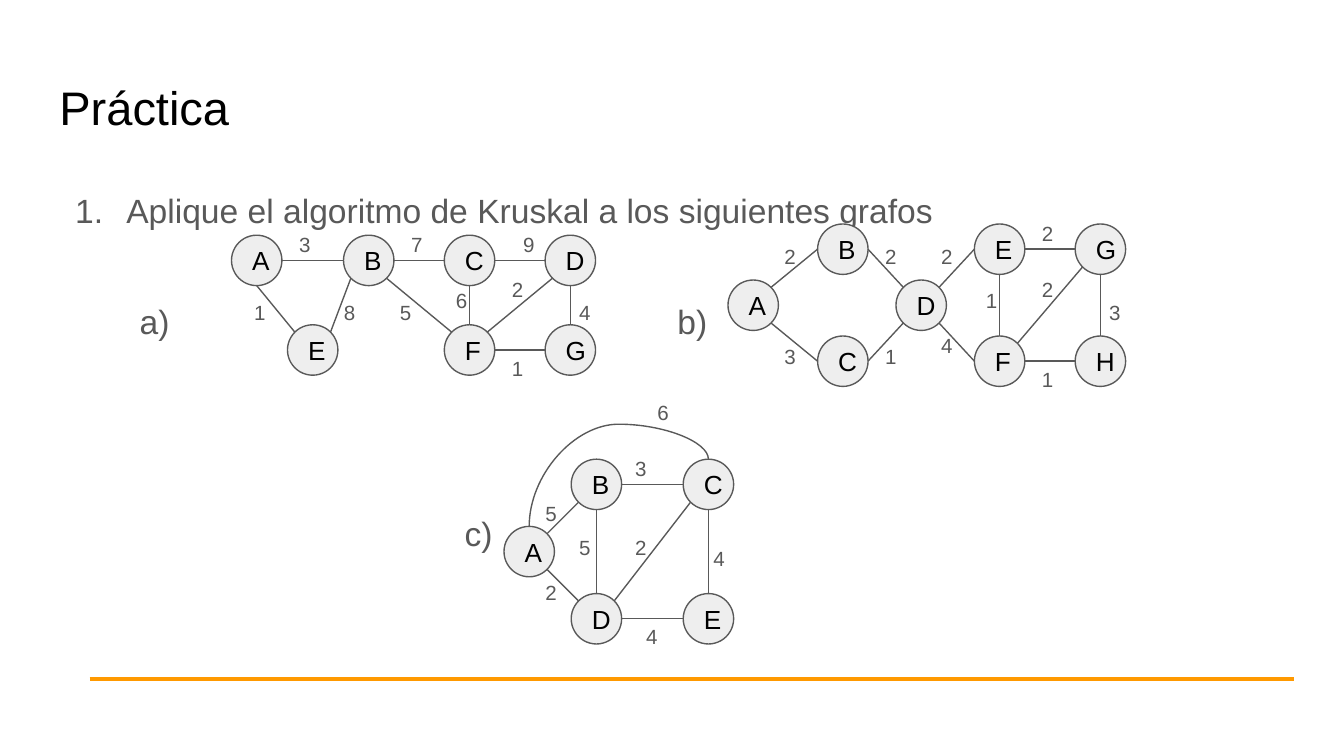
import math

import lxml.etree
import pptx
import pptx.dml.color
import pptx.enum.shapes
import pptx.enum.text
import pptx.oxml.ns
import pptx.util

GRAY, BLACK, PALE, GOLD = "595959", "000000", "EEEEEE", "FF9900"
KINDS = pptx.enum.shapes.MSO_CONNECTOR
RADIUS = 2.25

GRAPHS = [
    {
        "start": (22.92, 23.25), "shift": -1.4, "name": ("a)", 11.3, 25.7),
        "nodes": {"A": (0, 0), "B": (10, 0), "C": (19, 0), "D": (28, 0),
                  "E": (5, 8), "F": (19, 8), "G": (28, 8)},
        "edges": [("A0B4", 3, 4, -4), ("B0C4", 7, 14, -4), ("C0D4", 9, 24, -4),
                  ("F0G4", 1, 23, 7), ("D3F7", 2, 23, 0), ("D2G6", 4, 29, 2),
                  ("C2F6", 6, 18, 1), ("B1F5", 5, 13, 2), ("B3E7", 8, 8, 2),
                  ("A2E5", 1, 0, 2)],
    },
    {
        "start": (67.25, 27.25), "shift": -1.4, "name": ("b)", 59.3, 25.7),
        "nodes": {"A": (0, 0), "B": (8, -5), "C": (8, 5), "D": (15, 0),
                  "E": (22, -5), "F": (22, 5), "H": (31, 5), "G": (31, -5)},
        "edges": [("A7B4", 2, 3, -7), ("A1C4", 3, 3, 2), ("C0D3", 1, 12, 2),
                  ("B0D5", 2, 12, -7), ("D7E4", 2, 17, -7), ("D1F4", 4, 17, 1),
                  ("E2F6", 1, 21, -3), ("G2H6", 3, 32, -2), ("E0G4", 2, 26, -9),
                  ("F0H4", 1, 26, 4), ("G3F7", 2, 26, -4)],
    },
    {
        "start": (47.25, 49.25), "shift": -1.73, "name": ("c)", 40.3, 44.6),
        "nodes": {"A": (0, 0), "B": (6, -6), "D": (6, 6), "C": (16, -6), "E": (16, 6)},
        "edges": [("A7B3", 5, 2, -6), ("A1D5", 2, 2, 1), ("B2D6", 5, 5, -3),
                  ("B0C4", 3, 10, -10), ("D0E4", 4, 11, 5), ("C2E6", 4, 17, -2),
                  ("C3D7", 2, 10, -3), ("A6C6", 6, 12, -15)],
    },
]


def tint(code):
    """Turn a hex string into a colour."""
    return pptx.dml.color.RGBColor.from_string(code)


def grid(*spans):
    """Turn grid columns or rows, twelve to the inch, into lengths."""
    return [pptx.util.Inches(span / 12) for span in spans]


def node(tag, parent, **values):
    """Add an XML element under a parent."""
    return lxml.etree.SubElement(parent, pptx.oxml.ns.qn(tag), values)


class Page:
    """Hold the style and the current slide."""

    def __init__(self):
        """Start a deck with one titled slide."""
        self.deck = pptx.Presentation()
        self.deck.slide_width, self.deck.slide_height = grid(120, 67.5)
        self.slide = self.deck.slides.add_slide(self.deck.slide_layouts[5])
        self.shapes = self.slide.shapes

    def fill(self, shape, text, size, color=GRAY, **form):
        """Put formatted text in a shape and return its paragraph."""
        frame = shape.text_frame
        inset = pptx.util.Inches(0.1)
        values = {"word_wrap": True, "auto_size": pptx.enum.text.MSO_AUTO_SIZE.NONE,
                  "vertical_anchor": pptx.enum.text.MSO_ANCHOR.TOP}
        values.update({f"margin_{side}": inset for side in ("left", "top", "right", "bottom")})
        for key, value in {**values, **form}.items():
            setattr(frame, key, value)
        para = frame.paragraphs[0]
        para.alignment = pptx.enum.text.PP_ALIGN.LEFT
        run = para.add_run()
        run.text = text
        run.font.color.rgb = tint(color)
        for key, value in {"name": "Arial", "size": pptx.util.Pt(size)}.items():
            setattr(run.font, key, value)
        return para

    def title(self, text, *box):
        """Move and fill the title."""
        shape = self.slide.shapes.title
        for key, value in zip(("left", "top", "width", "height"), grid(*box)):
            setattr(shape, key, value)
        self.fill(shape, text, 25.2, BLACK)

    def label(self, text, size, *box):
        """Add a text box and return its paragraph."""
        return self.fill(self.shapes.add_textbox(*grid(*box)), text, size)

    def task(self, text, *box):
        """Add a numbered task."""
        para = self.label(text, 18, *box)
        para.line_spacing = 2.0
        props = para._p.get_or_add_pPr()
        props.set("marL", str(pptx.util.Inches(0.5)))
        props.set("indent", str(pptx.util.Inches(-0.38)))
        node("a:srgbClr", node("a:buClr", props), val=GRAY)
        node("a:buAutoNum", props, type="arabicPeriod")

    def line(self, start, end, color=GRAY, width=0.75, kind=KINDS.STRAIGHT):
        """Add a connector between two grid points."""
        link = self.shapes.add_connector(kind, *grid(*start, *end))
        link.line.color.rgb = tint(color)
        link.line.width = pptx.util.Pt(width)
        node("a:effectLst", link._element.spPr)
        return link

    def arch(self, start, end):
        """Add a curve that leaves and arrives from above."""
        wide, rise = end[0] - start[0], start[1] - end[1]
        left = (start[0] + end[0] - rise) / 2
        top = (start[1] + end[1] - wide) / 2
        link = self.line((left, top), (left + rise, top + wide), kind=KINDS.CURVE)
        props = link._element.spPr
        props.find(pptx.oxml.ns.qn("a:xfrm")).set("rot", str(270 * 60000))
        shape = props.find(pptx.oxml.ns.qn("a:prstGeom"))
        for old in list(shape):
            shape.remove(old)
        node("a:gd", node("a:avLst", shape), name="adj1", fmla="val 152100")

    def disc(self, text, x, y):
        """Add a graph node around its centre."""
        box = grid(x - RADIUS, y - RADIUS, 2 * RADIUS, 2 * RADIUS)
        shape = self.shapes.add_shape(pptx.enum.shapes.MSO_SHAPE.OVAL, *box)
        shape.shadow.inherit = False
        shape.fill.solid()
        shape.fill.fore_color.rgb = tint(PALE)
        shape.line.color.rgb = tint(GRAY)
        shape.line.width = pptx.util.Pt(0.75)
        para = self.fill(shape, text, 14, BLACK,
                         vertical_anchor=pptx.enum.text.MSO_ANCHOR.MIDDLE)
        para.alignment = pptx.enum.text.PP_ALIGN.CENTER

    def graph(self, start, shift, name, nodes, edges):
        """Add a named graph as a group; edges join nodes at eighths of a turn."""
        left, top = start
        spots = {key: (left + x, top + y) for key, (x, y) in nodes.items()}

        def port(key, turn):
            """Find a point on the rim of a node."""
            angle = int(turn) * math.pi / 4
            x, y = spots[key]
            return x + RADIUS * math.cos(angle), y + RADIUS * math.sin(angle)

        self.shapes = self.slide.shapes.add_group_shape().shapes
        for key, spot in spots.items():
            self.disc(key, *spot)
        for (tail, out, head, into), cost, x, y in edges:
            draw = self.arch if out == into else self.line
            draw(port(tail, out), port(head, into))
            self.label(str(cost), 11, left + x + shift, top + y + 0.3, 4.5, 4.7)
        self.shapes = self.slide.shapes
        text, x, y = name
        self.label(text, 18, x, y, 7, 6)


def main():
    """Build and save the slide."""
    page = Page()
    page.title("Práctica", 4.1, 5.85, 111.8, 7.5)
    page.line((8, 60.6), (115.5, 60.6), GOLD, 2.25)
    page.task("Aplique el algoritmo de Kruskal a los siguientes grafos", 4.1, 12.15, 97, 44.9)
    for parts in GRAPHS:
        page.graph(**parts)
    page.deck.save("out.pptx")


if __name__ == "__main__":
    main()
